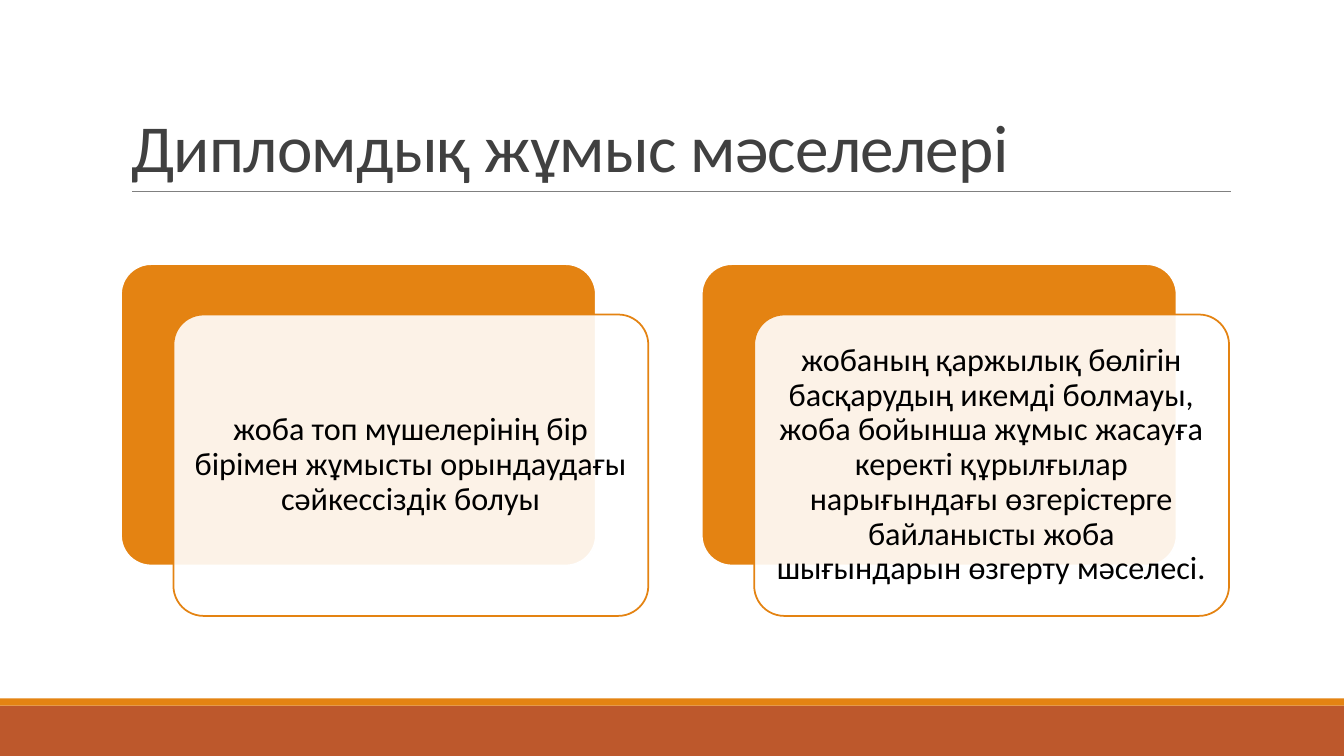
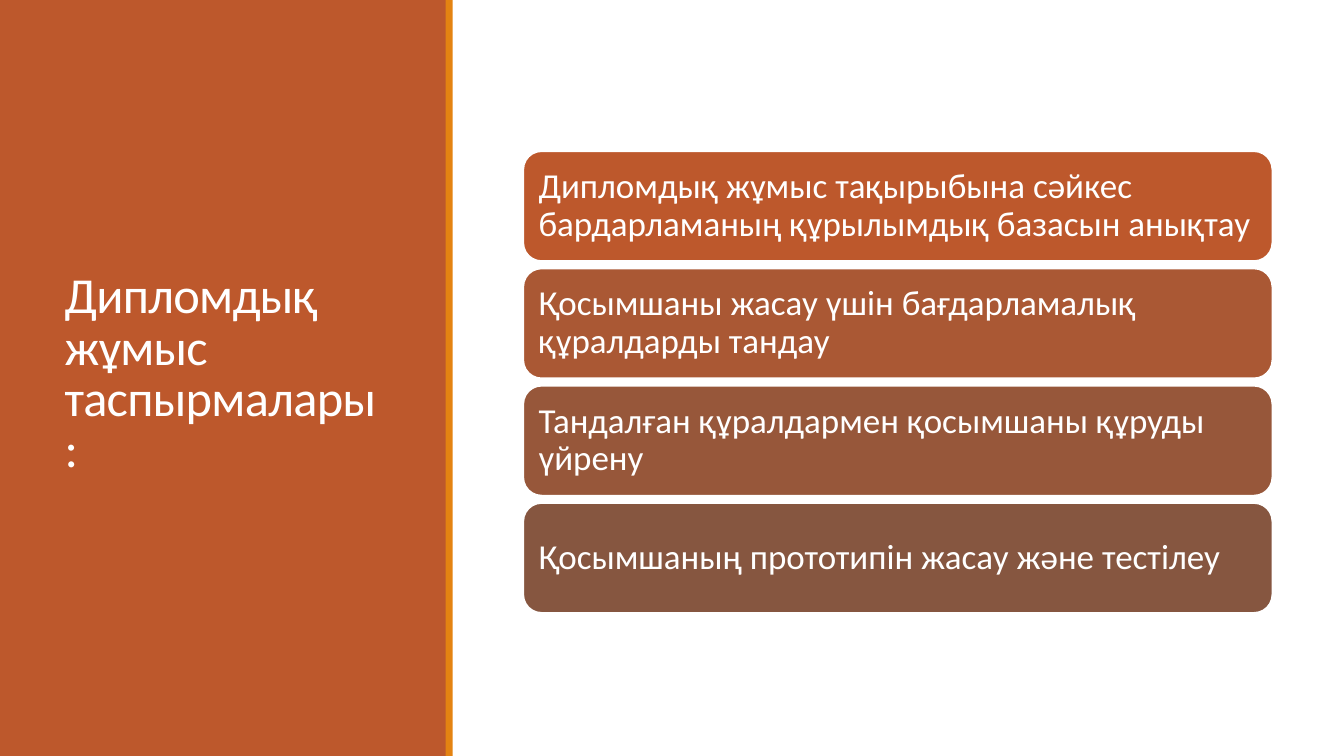
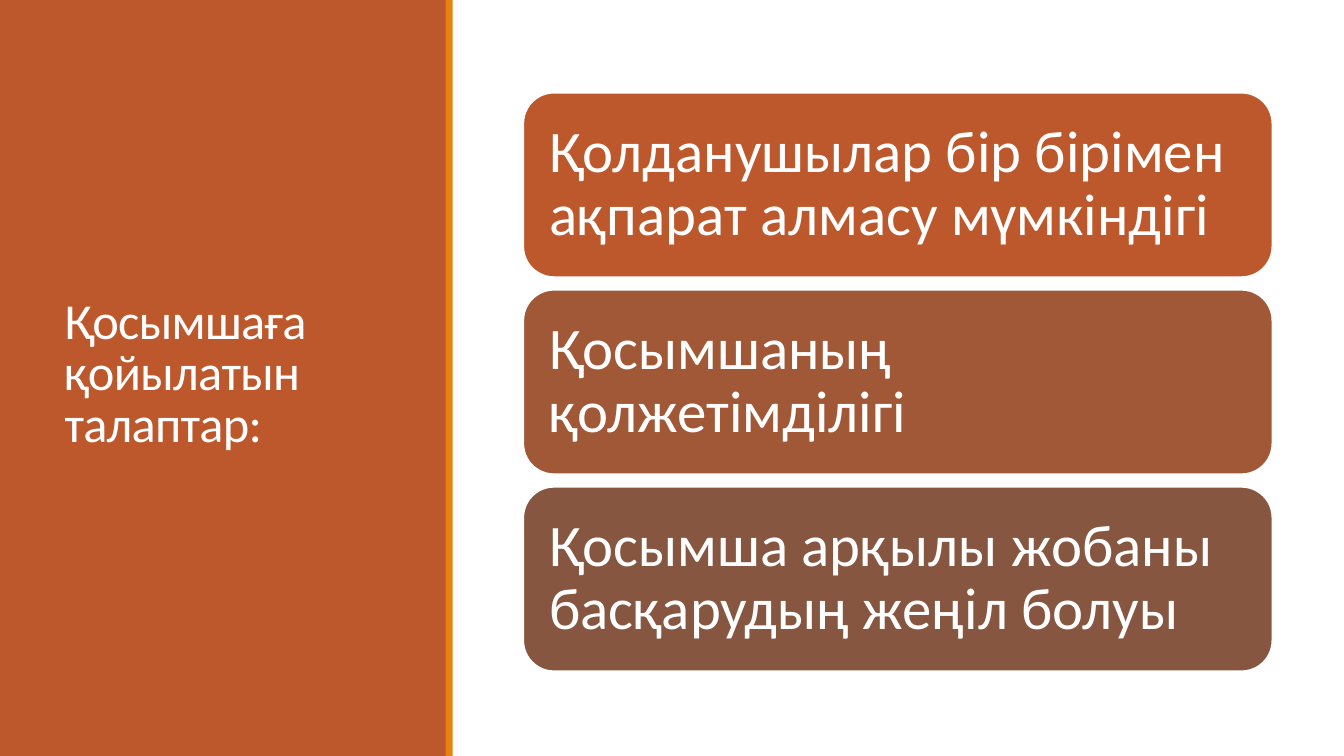
from lxml import etree
from pptx import Presentation
from pptx.dml.color import RGBColor
from pptx.enum.shapes import MSO_CONNECTOR, MSO_SHAPE
from pptx.enum.text import MSO_ANCHOR, PP_ALIGN
from pptx.oxml.ns import qn
from pptx.util import Inches, Pt

RECTANGLE = MSO_SHAPE.RECTANGLE
ROUNDED = MSO_SHAPE.ROUNDED_RECTANGLE
STRAIGHT = MSO_CONNECTOR.STRAIGHT
MIDDLE, BOTTOM = MSO_ANCHOR.MIDDLE, MSO_ANCHOR.BOTTOM
LEFT, CENTER = PP_ALIGN.LEFT, PP_ALIGN.CENTER

# Shared look
FONT = "Calibri"
WHITE = RGBColor(0xFF, 0xFF, 0xFF)
BLACK = RGBColor(0x00, 0x00, 0x00)
TITLE_GREY = RGBColor(0x40, 0x40, 0x40)
RULE_GREY = RGBColor(0x80, 0x80, 0x80)
ORANGE = RGBColor(0xE4, 0x83, 0x12)
RUST = RGBColor(0xBD, 0x58, 0x2C)
RUST_SOFT = RGBColor(0xAA, 0x58, 0x34)
RUST_MIDDLE = RGBColor(0xA0, 0x58, 0x37)
RUST_DULL = RGBColor(0x97, 0x57, 0x3A)
BROWN = RGBColor(0x86, 0x56, 0x40)
SLIDE_WIDTH, SLIDE_HEIGHT = 13.33, 7.5
STRIPE = 0.07
TITLE_ONLY = 5

# Content
PROBLEMS = [
    "жоба топ мүшелерінің бір бірімен жұмысты орындаудағы сәйкессіздік болуы",
    "жобаның қаржылық бөлігін басқарудың икемді болмауы, жоба бойынша жұмыс "
    "жасауға керекті құрылғылар нарығындағы өзгерістерге байланысты жоба "
    "шығындарын өзгерту мәселесі.",
]
TASKS = [
    ("Дипломдық жұмыс тақырыбына сәйкес бардарламаның құрылымдық базасын анықтау", RUST),
    ("Қосымшаны жасау үшін бағдарламалық құралдарды тандау", RUST_SOFT),
    ("Тандалған құралдармен қосымшаны құруды үйрену", RUST_DULL),
    ("Қосымшаның прототипін жасау және тестілеу", BROWN),
]
REQUIREMENTS = [
    ("Қолданушылар бір бірімен ақпарат алмасу мүмкіндігі", RUST),
    ("Қосымшаның қолжетімділігі", RUST_MIDDLE),
    ("Қосымша арқылы жобаны басқарудың жеңіл болуы", BROWN),
]


def add_box(slide, kind, left, top, width, height, fill, line=None):
    shape = slide.shapes.add_shape(
        kind, Inches(left), Inches(top), Inches(width), Inches(height))
    shape.shadow.inherit = False
    shape.fill.solid()
    shape.fill.fore_color.rgb = fill
    if line is None:
        shape.line.fill.background()
    else:
        shape.line.color.rgb = line
        shape.line.width = Pt(1.25)
    return shape


def write_text(shape, text, size, color, anchor, align, spacing, inset=None):
    frame = shape.text_frame
    frame.word_wrap = True
    frame.vertical_anchor = anchor
    if inset is not None:
        frame.margin_left = frame.margin_right = Inches(inset)
        frame.margin_top = frame.margin_bottom = Inches(inset)
    paragraph = frame.paragraphs[0]
    paragraph.alignment = align
    paragraph.line_spacing = spacing
    run = paragraph.add_run()
    run.text = text
    run.font.name = FONT
    run.font.size = Pt(size)
    run.font.color.rgb = color
    return run


def set_title(slide, text, left, top, width, height, size, color, anchor):
    title = slide.shapes.title
    title.left, title.top = Inches(left), Inches(top)
    title.width, title.height = Inches(width), Inches(height)
    run = write_text(title, text, size, color, anchor, LEFT, 0.85)
    run.font._element.set("spc", "-50")
    # Keep the title in front of the bands
    title.element.getparent().append(title.element)


def set_opacity(shape, percent):
    color = shape.element.spPr.find(qn("a:solidFill"))[0]
    etree.SubElement(color, qn("a:alpha")).set("val", str(percent * 1000))


def add_title_rule(slide):
    rule = slide.shapes.add_connector(
        STRAIGHT, Inches(1.31), Inches(1.9), Inches(12.21), Inches(1.9))
    rule.line.color.rgb = RULE_GREY
    rule.line.width = Pt(0.5)
    etree.SubElement(rule.element.spPr, qn("a:effectLst"))


def add_banded_slide(presentation, title):
    slide = presentation.slides.add_slide(presentation.slide_layouts[TITLE_ONLY])
    add_box(slide, RECTANGLE, 0, 7, SLIDE_WIDTH, 0.5, RUST)
    add_box(slide, RECTANGLE, 0, 7 - STRIPE, SLIDE_WIDTH, STRIPE, ORANGE)
    add_title_rule(slide)
    set_title(slide, title, 1.2, 0.31, 11, 1.59, 48, TITLE_GREY, BOTTOM)
    return slide


def add_sidebar_slide(presentation, title):
    slide = presentation.slides.add_slide(presentation.slide_layouts[TITLE_ONLY])
    add_box(slide, RECTANGLE, 0, 0, 4.43, SLIDE_HEIGHT, RUST)
    add_box(slide, RECTANGLE, 4.42, 0, STRIPE, SLIDE_HEIGHT, ORANGE)
    set_title(slide, title, 0.54, 0.57, 3.37, 6.31, 36, WHITE, MIDDLE)
    return slide


def add_layered_card(slide, left, text):
    top, width, height = 2.62, 4.71, 2.99
    back = add_box(slide, ROUNDED, left, top, width, height, ORANGE, WHITE)
    front = add_box(slide, ROUNDED, left + 0.52, top + 0.5, width, height, WHITE, ORANGE)
    for card in (back, front):
        card.adjustments[0] = 0.1
    set_opacity(front, 90)
    write_text(front, text, 23, BLACK, MIDDLE, CENTER, 0.9, 0.1)


def add_card_stack(slide, cards, first_top, last_top, height, size, inset):
    pitch = (last_top - first_top) / (len(cards) - 1)
    for index, (text, fill) in enumerate(cards):
        card = add_box(slide, ROUNDED, 5.19, first_top + index * pitch,
                       7.43, height, fill, WHITE)
        write_text(card, text, size, WHITE, MIDDLE, LEFT, 0.9, inset)


def main():
    presentation = Presentation()
    presentation.slide_width = Inches(SLIDE_WIDTH)
    presentation.slide_height = Inches(SLIDE_HEIGHT)

    # Problems
    slide = add_banded_slide(presentation, "Дипломдық жұмыс мәселелері")
    for index, text in enumerate(PROBLEMS):
        add_layered_card(slide, 1.2 + index * 5.76, text)

    # Tasks
    slide = add_sidebar_slide(presentation, "Дипломдық жұмыс таспырмалары:")
    add_card_stack(slide, TASKS, 1.5, 4.99, 1.09, 25, 0.1)

    # Requirements
    slide = add_sidebar_slide(presentation, "Қосымшаға қойылатын талаптар:")
    add_card_stack(slide, REQUIREMENTS, 0.92, 4.83, 1.83, 42, 0.17)

    presentation.save("out.pptx")


if __name__ == "__main__":
    main()
